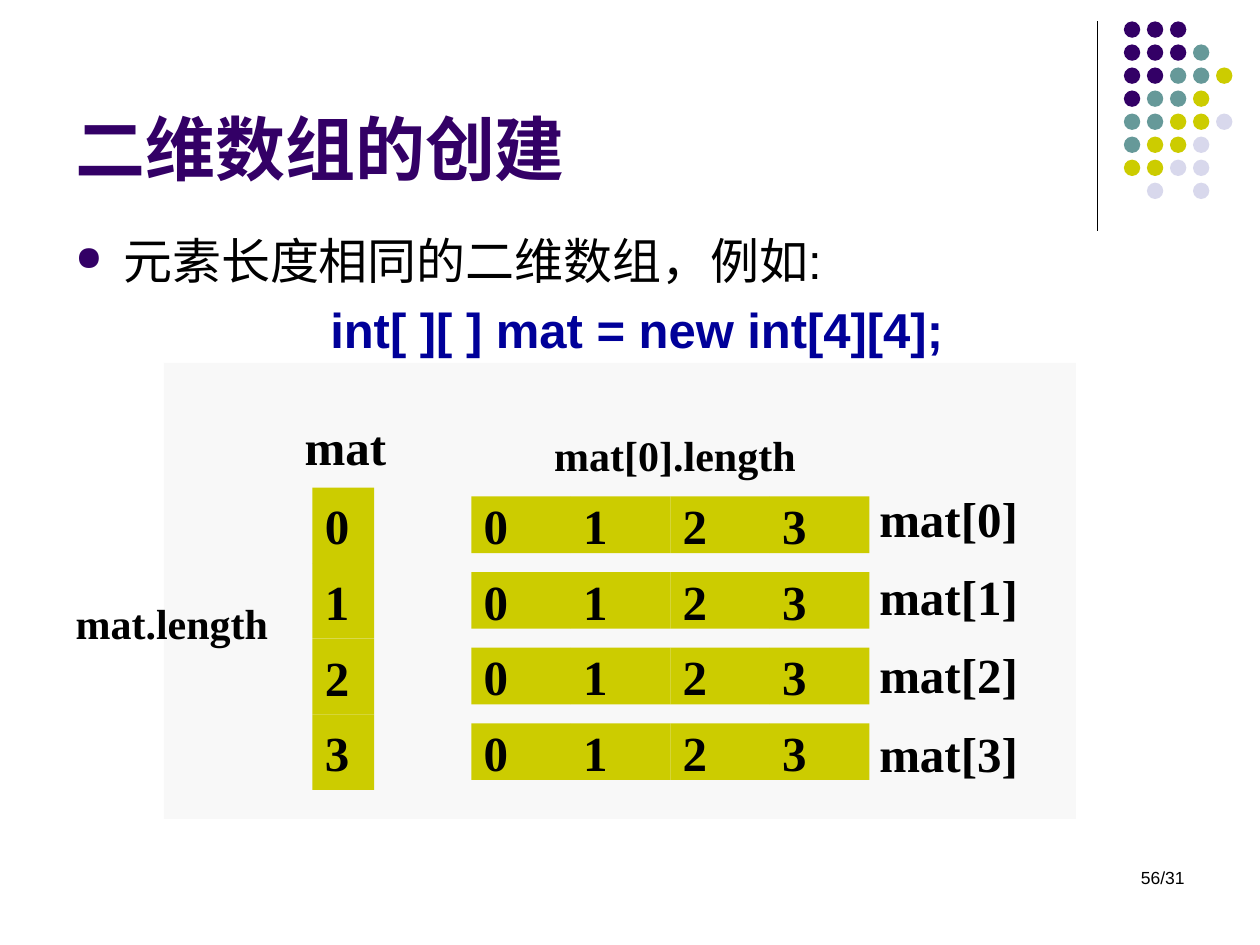
from lxml import etree
from pptx import Presentation
from pptx.dml.color import RGBColor
from pptx.enum.shapes import MSO_CONNECTOR, MSO_SHAPE
from pptx.enum.text import MSO_ANCHOR, PP_ALIGN
from pptx.oxml.ns import qn
from pptx.util import Inches, Pt

LEFT, CENTER, RIGHT = PP_ALIGN.LEFT, PP_ALIGN.CENTER, PP_ALIGN.RIGHT
TOP, MIDDLE, BOTTOM = MSO_ANCHOR.TOP, MSO_ANCHOR.MIDDLE, MSO_ANCHOR.BOTTOM
RECTANGLE, OVAL = MSO_SHAPE.RECTANGLE, MSO_SHAPE.OVAL
STRAIGHT = MSO_CONNECTOR.STRAIGHT

BLACK = RGBColor(0x00, 0x00, 0x00)
PURPLE = RGBColor(0x33, 0x00, 0x66)
TEAL = RGBColor(0x66, 0x99, 0x99)
YELLOW = RGBColor(0xCC, 0xCC, 0x00)
LAVENDER = RGBColor(0xD8, 0xD8, 0xEC)
NAVY = RGBColor(0x00, 0x00, 0x99)
PANEL_GRAY = RGBColor(0xF8, 0xF8, 0xF8)

SERIF, SANS = "Times New Roman", "Arial"
DOT_COLORS = {"P": PURPLE, "T": TEAL, "Y": YELLOW, "L": LAVENDER}
DOT_ROWS = ["PPP", "PPPT", "PPTTY", "PTTY", "TTYYL", "TYYL", "YYLL", " L L"]
DOT_STEP = 1.28 / 7

deck = Presentation()
deck.slide_width, deck.slide_height = Inches(10), Inches(7.5)
slide = deck.slides.add_slide(deck.slide_layouts[6])
shapes = slide.shapes


def add_block(kind, left, top, width, height, color):
    block = shapes.add_shape(kind, Inches(left), Inches(top), Inches(width), Inches(height))
    block.shadow.inherit = False
    block.fill.solid()
    block.fill.fore_color.rgb = color
    block.line.fill.background()
    return block


def add_text(text, left, top, width, height, size=28, font=SERIF, color=BLACK,
             bold=True, align=LEFT, anchor=TOP, fill=None):
    if fill is None:
        box = shapes.add_textbox(Inches(left), Inches(top), Inches(width), Inches(height))
    else:
        box = add_block(RECTANGLE, left, top, width, height, fill)
    frame = box.text_frame
    frame.word_wrap = True
    frame.vertical_anchor = anchor
    for index, line in enumerate(text.split("\n")):
        para = frame.add_paragraph() if index else frame.paragraphs[0]
        para.text = line
        para.alignment = align
        para.font.size = Pt(size)
        para.font.name = font
        para.font.bold = bold
        para.font.color.rgb = color
    return frame


divider = shapes.add_connector(STRAIGHT, Inches(8.71), Inches(0.17), Inches(8.71), Inches(1.83))
divider.line.color.rgb = BLACK
divider.line.width = Pt(0.75)
etree.SubElement(divider.element.spPr, qn("a:effectLst"))

for row, pattern in enumerate(DOT_ROWS):
    for column, letter in enumerate(pattern):
        if letter in DOT_COLORS:
            add_block(OVAL, 8.92 + column * DOT_STEP, 0.17 + row * DOT_STEP,
                      0.13, 0.13, DOT_COLORS[letter])

add_text("56/31", 7.17, 6.83, 2.33, 0.5, 10, SANS, bold=False, align=RIGHT)
add_text("二维数组的创建", 0.5, 0.13, 8.25, 1.42, 40, SANS, PURPLE, anchor=BOTTOM)

body = add_text("元素长度相同的二维数组，例如:\n int[ ][ ] mat = new int[4][4];",
                0.5, 1.78, 9, 4.92, 28, SANS, bold=False)
bullet_para, code_para = body.paragraphs
for para in body.paragraphs:
    properties = para._p.get_or_add_pPr()
    properties.set("marL", str(Inches(0.38)))
    properties.set("indent", str(-Inches(0.38)))
bullet_properties = bullet_para._p.get_or_add_pPr()
bullet_color = etree.Element(qn("a:buClr"))
etree.SubElement(bullet_color, qn("a:srgbClr"), val=str(PURPLE))
bullet_size = etree.Element(qn("a:buSzPct"), val="70000")
bullet_mark = etree.Element(qn("a:buChar"), char="●")
for position, element in enumerate([bullet_color, bullet_size, bullet_mark]):
    bullet_properties.insert(position, element)
code_para.alignment = CENTER
code_para.space_before = Pt(5.6)
code_para.font.bold = True
code_para.font.color.rgb = NAVY

add_block(RECTANGLE, 1.3, 2.88, 7.24, 3.62, PANEL_GRAY)

for row in range(4):
    add_text(str(row), 2.48, 3.87 + row * 0.6, 0.49, 0.6, anchor=MIDDLE, fill=YELLOW)
    for column in range(4):
        add_text(str(column), 3.74 + column * 0.79, 3.94 + row * 0.6, 0.79, 0.45,
                 anchor=MIDDLE, fill=YELLOW)
    add_text(f"mat[{row}]", 6.88, 3.83 + row * 0.62, 1.42, 0.57)

add_text("mat", 2.32, 3.26, 1.02, 0.57)
add_text("mat.length ", 0.31, 4.69, 2.19, 0.5, 24, align=CENTER)
add_text("mat[0].length", 4.3, 3.36, 2.44, 0.5, 24)

deck.save("out.pptx")
